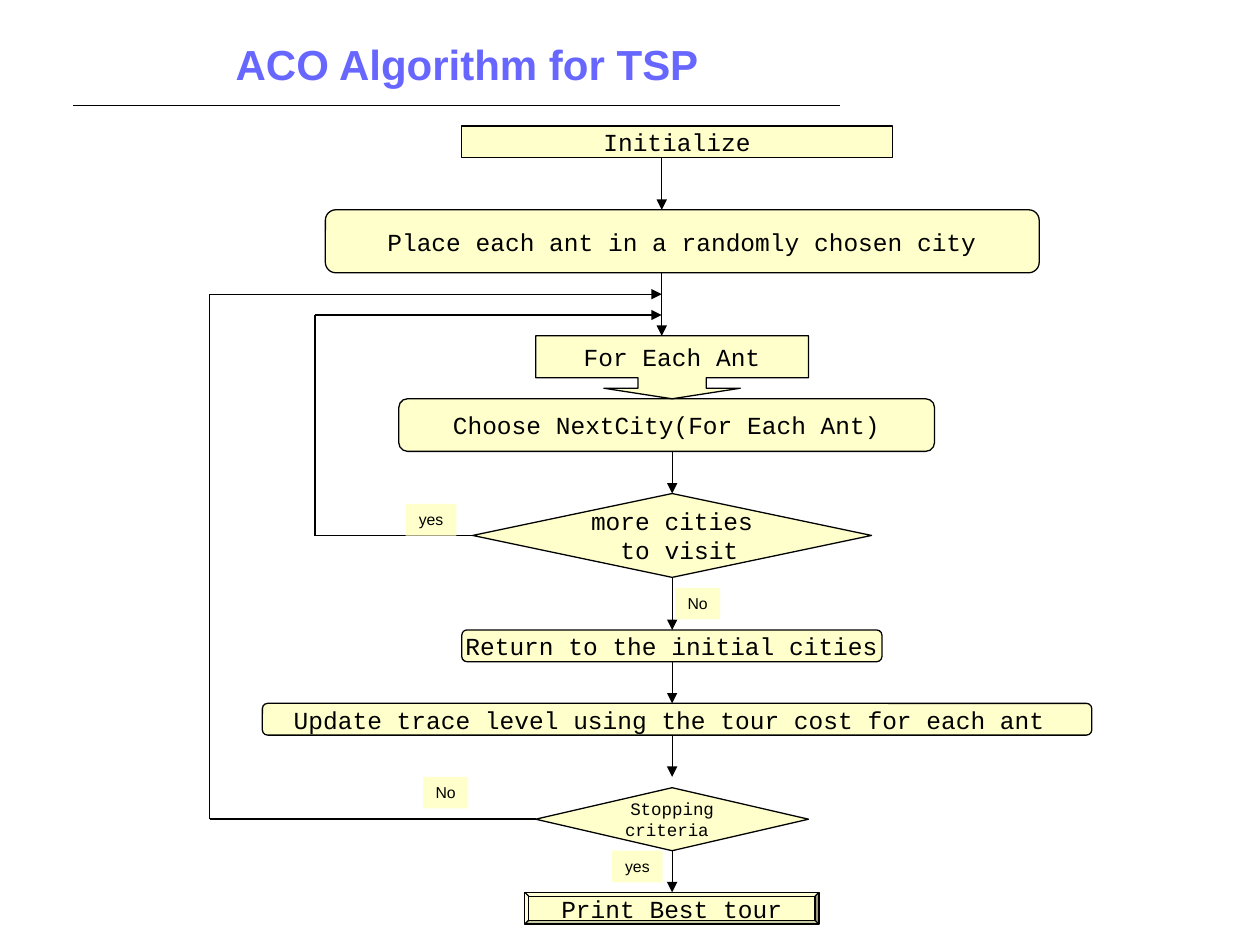
from pptx import Presentation
from pptx.dml.color import RGBColor
from pptx.enum.shapes import MSO_CONNECTOR, MSO_SHAPE as Shape
from pptx.enum.text import MSO_ANCHOR as Anchor, PP_ALIGN as Align
from pptx.oxml.ns import qn
from pptx.util import Cm, Pt
from lxml.etree import SubElement

COLORS = {"title": "6767FF", "box": "FFFFCC", "ink": "000000"}
MONO, SANS = "Courier New", "Arial"
THIN = Pt(0.75)
ENTRY_X, AXIS_X = 13.34, 13.55  # upper and lower flow lines, in cm
BAR_H = 0.64

# Preset, left, top, width, height, text, adjustments
STEPS = [
    (Shape.FLOWCHART_PROCESS, 9.31, 2.54, 8.68, BAR_H, "Initialize", ()),
    (Shape.FLOWCHART_ALTERNATE_PROCESS, 6.56, 4.23, 14.39, 1.27,
     "Place each ant in a randomly chosen city", ()),
    (Shape.FLOWCHART_ALTERNATE_PROCESS, 8.04, 8.04, 10.8, 1.06,
     "Choose NextCity(For Each Ant)", ()),
    (Shape.FLOWCHART_DECISION, 9.53, 9.95, 8.04, 1.69,
     "more cities\n to visit", ()),
    (Shape.DOWN_ARROW_CALLOUT, 10.8, 6.77, 5.5, 1.27, "For Each Ant",
     (1.083, 1.083, 0.167, 0.667)),
    (Shape.ROUNDED_RECTANGLE, 9.31, 12.7, 8.47, BAR_H,
     "Return to the initial cities", (0.167,)),
    (Shape.FLOWCHART_ALTERNATE_PROCESS, 5.29, 14.18, 16.72, BAR_H,
     "Update trace level using the tour cost for each ant ", ()),
    (Shape.BEVEL, 10.58, 17.99, 5.93, BAR_H, "Print Best tour", (0.125,)),
]

# x, start y, end y of the downward arrows
ARROWS = [
    (ENTRY_X, 3.18, 4.23), (ENTRY_X, 5.5, 6.77),
    (AXIS_X, 9.1, 9.95), (AXIS_X, 11.64, 12.7), (AXIS_X, 13.34, 14.18),
    (AXIS_X, 14.82, 15.66), (AXIS_X, 16.93, 17.99),
]

# Start x, start y, far left x, return y of the loops
LOOPS = [(9.53, 10.8, 6.35, 6.35), (10.8, 16.51, 4.23, 5.93)]

# Text, left, top, width of the branch labels
LABELS = [("yes", 8.18, 10.16, 1.02), ("No", 13.61, 11.85, 0.91),
          ("yes", 12.34, 17.15, 1.02), ("No", 8.53, 15.66, 0.91)]


def rgb(name):
    return RGBColor.from_string(COLORS[name])


def write(sp, text, size, font, color="ink", bold=False, anchor=Anchor.MIDDLE):
    tf = sp.text_frame
    tf.text = text
    tf.word_wrap = False
    tf.vertical_anchor = anchor
    for p in tf.paragraphs:
        p.alignment = Align.CENTER
        for r in p.runs:
            r.font.size, r.font.name, r.font.bold = Pt(size), font, bold
            r.font.color.rgb = rgb(color)


def add_box(slide, kind, left, top, width, height, outlined=True):
    sp = slide.shapes.add_shape(kind, Cm(left), Cm(top), Cm(width), Cm(height))
    sp.shadow.inherit = False
    sp.fill.solid()
    sp.fill.fore_color.rgb = rgb("box")
    if outlined:
        sp.line.color.rgb = rgb("ink")
        sp.line.width = THIN
    else:
        sp.line.fill.background()
    return sp


def add_step(slide, kind, left, top, width, height, text, adjustments, size=14):
    sp = add_box(slide, kind, left, top, width, height)
    for i, value in enumerate(adjustments):
        sp.adjustments[i] = value
    write(sp, text, size, MONO)


def add_label(slide, text, left, top, width):
    sp = add_box(slide, Shape.RECTANGLE, left, top, width, BAR_H, outlined=False)
    write(sp, text, 9, SANS, anchor=Anchor.TOP)


def add_line(slide, x1, y1, x2, y2, arrow=False):
    line = slide.shapes.add_connector(
        MSO_CONNECTOR.STRAIGHT, Cm(x1), Cm(y1), Cm(x2), Cm(y2))
    line.line.color.rgb = rgb("ink")
    line.line.width = THIN
    if arrow:
        SubElement(line.line._get_or_add_ln(), qn("a:tailEnd"), type="triangle")
    SubElement(line._element.spPr, qn("a:effectLst"))


def add_loop(slide, x, y, far_x, return_y):
    add_line(slide, x, y, far_x, y)
    add_line(slide, far_x, y, far_x, return_y)
    add_line(slide, far_x, return_y, ENTRY_X, return_y, arrow=True)


def set_title(slide, text):
    title = slide.shapes.title
    title.left, title.top = Cm(4.45), Cm(0.64)
    title.width, title.height = Cm(9.93), Cm(1.3)
    write(title, text, 24, SANS, "title", bold=True, anchor=Anchor.TOP)


def main():
    prs = Presentation()
    prs.slide_width, prs.slide_height = Cm(25.4), Cm(19.05)
    slide = prs.slides.add_slide(prs.slide_layouts[5])

    # Title and rule
    set_title(slide, "ACO Algorithm for TSP")
    add_line(slide, 1.48, 2.12, 16.93, 2.12)

    # Steps and the arrows between them
    for step in STEPS:
        add_step(slide, *step)
    for x, y1, y2 in ARROWS:
        add_line(slide, x, y1, x, y2, arrow=True)

    # Final decision, in smaller type
    add_step(slide, Shape.FLOWCHART_DECISION, 10.8, 15.88, 5.5, 1.27,
             "Stopping\ncriteria ", (), size=10)

    # Loops back and branch labels
    for loop in LOOPS:
        add_loop(slide, *loop)
    for label in LABELS:
        add_label(slide, *label)

    prs.save("out.pptx")


if __name__ == "__main__":
    main()
